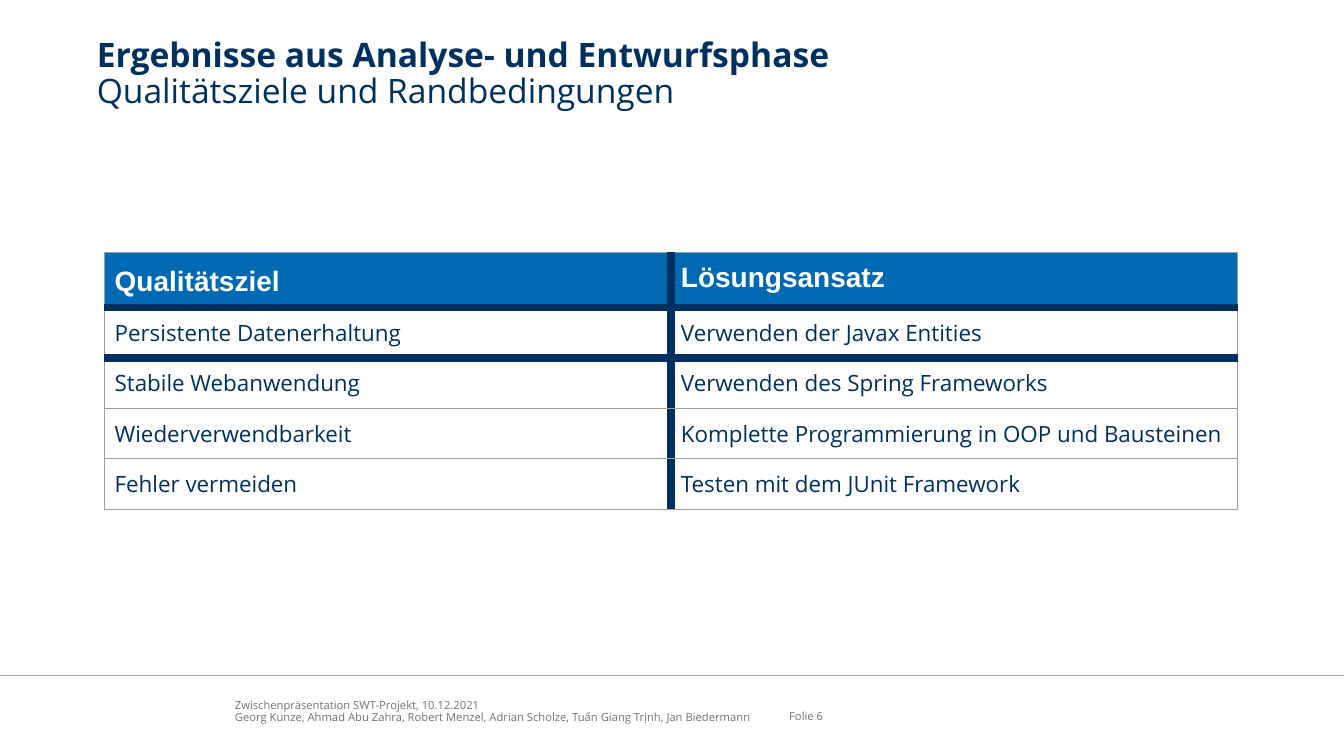
import dataclasses

import pptx
import pptx.dml.color
import pptx.enum.shapes
import pptx.enum.text
import pptx.oxml
import pptx.oxml.ns
import pptx.util

Cm = pptx.util.Cm
Pt = pptx.util.Pt
RGB = pptx.dml.color.RGBColor.from_string
Anchor = pptx.enum.text.MSO_ANCHOR


@dataclasses.dataclass(frozen=True)
class Theme:
    font: str = "Open Sans"
    header_font: str = "Arial"
    navy: str = "00305D"
    body: str = "00305E"
    blue: str = "0069B4"
    white: str = "FFFFFF"
    grid: str = "9E9E9E"
    rule: str = "A5A5A5"
    footer: str = "727277"
    title_size: int = 24
    header_size: int = 20
    body_size: int = 16
    footer_size: int = 8
    thin: float = 0.75
    thick: float = 6


theme = Theme()


def add_text(p, text, font=theme.font, size=theme.body_size, color=theme.body,
             bold=False, spacing=None):
    p.alignment = pptx.enum.text.PP_ALIGN.LEFT
    if spacing:
        p.line_spacing = spacing
    r = p.add_run()
    r.text = text
    r.font.name = font
    r.font.size = Pt(size)
    r.font.bold = bold
    r.font.color.rgb = RGB(color)


def set_border(cell, side, color, width):
    ln = pptx.oxml.parse_xml(
        f'<a:{side} {pptx.oxml.ns.nsdecls("a")} w="{Pt(width)}" cmpd="sng">'
        f'<a:solidFill><a:srgbClr val="{color}"/></a:solidFill>'
        f'<a:prstDash val="solid"/></a:{side}>')
    cell._tc.get_or_add_tcPr().append(ln)


prs = pptx.Presentation()
prs.slide_width = Cm(33.87)
prs.slide_height = Cm(19.05)
s = prs.slides.add_slide(prs.slide_layouts[5])

title = s.shapes.title
title.left, title.top, title.width, title.height = Cm(2.44), Cm(0.97), Cm(29.39), Cm(1.9)
tf = title.text_frame
tf.margin_left = tf.margin_top = tf.margin_right = tf.margin_bottom = 0
tf.vertical_anchor = Anchor.TOP
tf.word_wrap = True
tf.auto_size = pptx.enum.text.MSO_AUTO_SIZE.NONE
p = tf.paragraphs[0]
add_text(p, "Ergebnisse aus Analyse- und Entwurfsphase", size=theme.title_size,
         color=theme.navy, bold=True, spacing=0.9)
p.add_line_break()
add_text(p, "Qualitätsziele und Randbedingungen", size=theme.title_size,
         color=theme.navy, spacing=0.9)

goals = [
    ("Qualitätsziel", "Lösungsansatz"),
    ("Persistente Datenerhaltung", "Verwenden der Javax Entities"),
    ("Stabile Webanwendung", "Verwenden des Spring Frameworks"),
    ("Wiederverwendbarkeit", "Komplette Programmierung in OOP und Bausteinen"),
    ("Fehler vermeiden", "Testen mit dem JUnit Framework"),
]
header_height, row_height = Cm(1.39), Cm(1.27)
table = s.shapes.add_table(len(goals), 2, Cm(2.64), Cm(6.35), Cm(28.54),
                           header_height + row_height * (len(goals) - 1)).table
table.horz_banding = False
thin = (theme.grid, theme.thin)
thick = (theme.navy, theme.thick)
for i, goal in enumerate(goals):
    table.rows[i].height = row_height if i else header_height
    for j, text in enumerate(goal):
        cell = table.cell(i, j)
        cell.margin_left = cell.margin_right = Cm(0.25)
        cell.margin_top = cell.margin_bottom = Cm(0.25)
        cell.vertical_anchor = Anchor.TOP
        set_border(cell, "lnL", *(thick if j == 1 else thin))
        set_border(cell, "lnR", *(thick if j == 0 else thin))
        set_border(cell, "lnT", *(thick if i in (1, 2) else thin))
        set_border(cell, "lnB", *(thick if i in (0, 1) else thin))
        p = cell.text_frame.paragraphs[0]
        if i == 0:
            cell.fill.solid()
            cell.fill.fore_color.rgb = RGB(theme.blue)
            add_text(p, text, font=theme.header_font, size=theme.header_size,
                     color=theme.white, bold=True)
        else:
            cell.fill.background()
            add_text(p, text)
table.cell(0, 0).margin_top = Cm(0.36)

line = s.shapes.add_connector(pptx.enum.shapes.MSO_CONNECTOR.STRAIGHT,
                              0, Cm(17.02), prs.slide_width, Cm(17.02))
line.line.color.rgb = RGB(theme.rule)
line.line.width = Pt(1)
line._element.spPr.append(
    pptx.oxml.parse_xml(f'<a:effectLst {pptx.oxml.ns.nsdecls("a")}/>'))

footers = [
    (5.92, 17.55, 13.44, 0.69, [
        "Zwischenpräsentation SWT-Projekt, 10.12.2021",
        "Georg Kunze, Ahmad Abu Zahra, Robert Menzel, Adrian Scholze, "
        "Tuấn Giang Trịnh, Jan Biedermann"]),
    (19.89, 17.53, 1.96, 0.69, ["Folie 6"]),
]
for left, top, width, height, lines in footers:
    tf = s.shapes.add_textbox(Cm(left), Cm(top), Cm(width), Cm(height)).text_frame
    tf.margin_left = tf.margin_top = tf.margin_right = tf.margin_bottom = 0
    tf.vertical_anchor = Anchor.BOTTOM
    tf.word_wrap = True
    for i, text in enumerate(lines):
        p = tf.add_paragraph() if i else tf.paragraphs[0]
        add_text(p, text, size=theme.footer_size, color=theme.footer, spacing=0.87)

prs.save("out.pptx")
